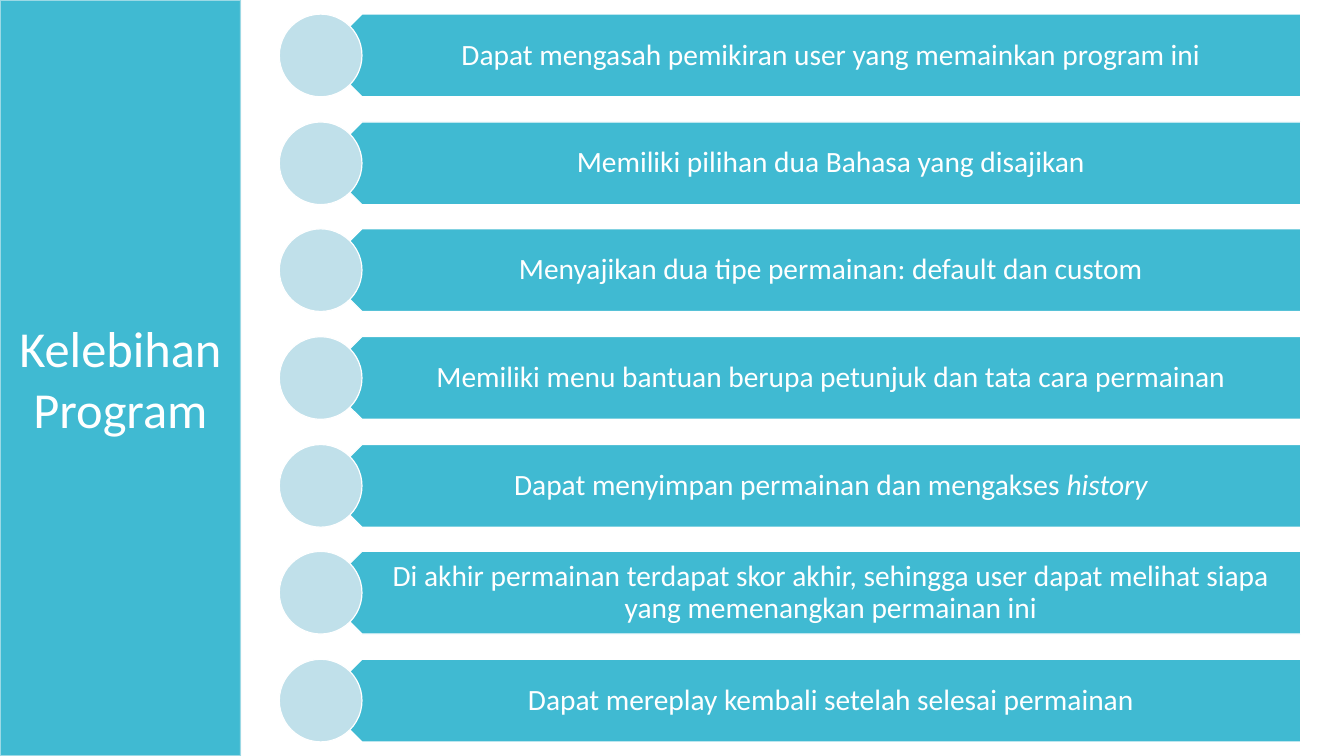
"""Build the slide that lists the strengths of the program."""
from lxml import etree
from pptx import Presentation
from pptx import util as u
from pptx.dml.color import RGBColor
from pptx.enum import shapes, text
from pptx.oxml import ns

PX = 9144
TEAL = RGBColor(0x40, 0xBA, 0xD2)
PALE = RGBColor(0xC0, 0xE0, 0xEA)
WHITE = RGBColor(0xFF, 0xFF, 0xFF)
OFF_WHITE = RGBColor(0xF9, 0xF9, 0xF9)

STRENGTHS = [
    ["Dapat mengasah pemikiran user yang memainkan program ini"],
    ["Memiliki pilihan dua Bahasa yang disajikan"],
    ["Menyajikan dua tipe permainan: default dan custom"],
    ["Memiliki menu bantuan berupa petunjuk dan tata cara permainan"],
    ["Dapat menyimpan permainan dan mengakses ", "history"],
    ["Di akhir permainan terdapat skor akhir, sehingga user dapat melihat siapa "
     "yang memenangkan permainan ini"],
    ["Dapat mereplay kembali setelah selesai permainan"],
]
FIRST_TOP, LAST_TOP, ROW_HEIGHT = 14, 654, 82


def add_row_shape(kind, left, top, width, color):
    shape = page.shapes.add_shape(kind, left * PX, top * PX, width * PX, ROW_HEIGHT * PX)
    shape.shadow.inherit = False
    shape.fill.solid()
    shape.fill.fore_color.rgb = color
    shape.line.color.rgb = WHITE
    shape.line.width = u.Pt(0.85)
    return shape


def format_span(span, size):
    span.font.name = "Calibri"
    span.font.size = u.Pt(size)
    span.font.color.rgb = WHITE


deck = Presentation()
deck.slide_width, deck.slide_height = 1333 * PX, 750 * PX
page = deck.slides.add_slide(deck.slide_layouts[5])

title = page.shapes.title
title.left, title.top, title.width, title.height = 0, 0, 239 * PX, 750 * PX
title.fill.solid()
title.fill.fore_color.rgb = TEAL
title.line.color.rgb = OFF_WHITE
title.line.width = u.Pt(1.35)
line_color = title.line.fill.fore_color
line_fill = title.line._ln.find(ns.qn("a:solidFill"))
etree.SubElement(line_fill[0], ns.qn("a:alpha"), val="50000")
title.text_frame.text = "Kelebihan Program"
title.text_frame.word_wrap = True
title.text_frame.auto_size = text.MSO_AUTO_SIZE.NONE
title.text_frame.vertical_anchor = text.MSO_ANCHOR.MIDDLE
title_para = title.text_frame.paragraphs[0]
title_para.alignment = text.PP_ALIGN.CENTER
format_span(title_para.runs[0], 36)

row_step = (LAST_TOP - FIRST_TOP) / (len(STRENGTHS) - 1)
for row, parts in enumerate(STRENGTHS):
    top = round(FIRST_TOP + row * row_step)
    bar = add_row_shape(shapes.MSO_SHAPE.PENTAGON, 318, top, 972, TEAL)
    bar.rotation = 180

    box = page.shapes.add_textbox(338 * PX, top * PX, 952 * PX, ROW_HEIGHT * PX)
    frame = box.text_frame
    frame.word_wrap = True
    frame.vertical_anchor = text.MSO_ANCHOR.MIDDLE
    frame.margin_left, frame.margin_right = 36 * PX, 16 * PX
    frame.margin_top = frame.margin_bottom = 9 * PX
    para = frame.paragraphs[0]
    para.alignment = text.PP_ALIGN.CENTER
    para.line_spacing = 0.9
    for order, part in enumerate(parts):
        span = para.add_run()
        span.text = part
        format_span(span, 21)
        if order == 1:
            span.font.italic = True

    add_row_shape(shapes.MSO_SHAPE.OVAL, 277, top, ROW_HEIGHT, PALE)

deck.save("out.pptx")
